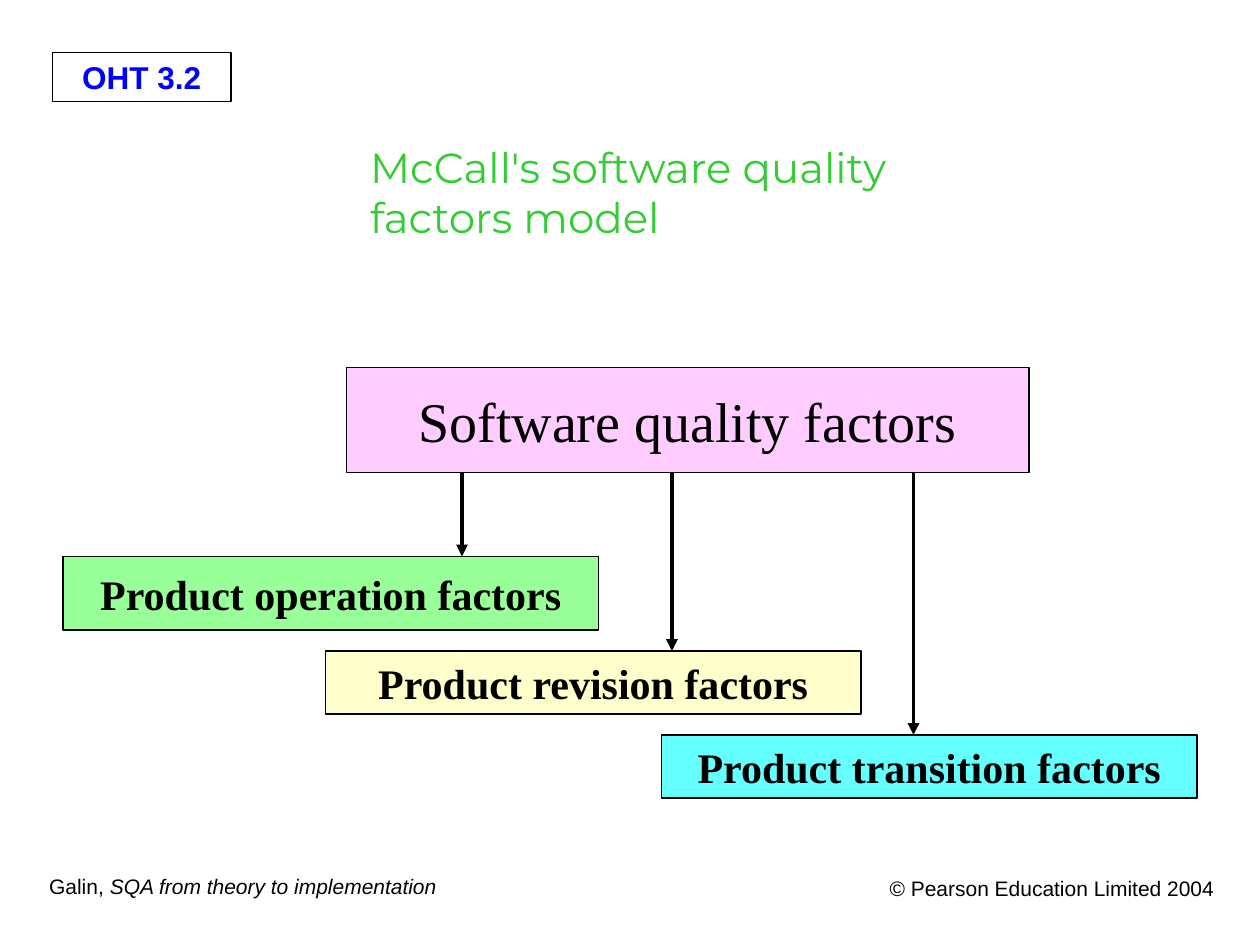
import pptx
import pptx.dml.color
import pptx.enum.shapes
import pptx.enum.text
import pptx.oxml
import pptx.util

Pt = pptx.util.Pt
RGBColor = pptx.dml.color.RGBColor
Align = pptx.enum.text.PP_ALIGN
Anchor = pptx.enum.text.MSO_ANCHOR

BLACK = RGBColor(0, 0, 0)
BLUE = RGBColor(0, 0, 255)
TITLE_GREEN = RGBColor(0x33, 0xCC, 0x33)
PINK = RGBColor(0xFF, 0xCC, 0xFF)
GREEN = RGBColor(0x99, 0xFF, 0x99)
YELLOW = RGBColor(0xFF, 0xFF, 0xCC)
CYAN = RGBColor(0x66, 0xFF, 0xFF)

SANS, SERIF, TITLE_FONT = "Arial", "Times New Roman", "Montserrat"

# Subfactors: label, fill, left, top, height, arrow position across the page
FACTORS = [
    ("Product operation factors", GREEN, 36, 318, 42, 264),
    ("Product revision factors", YELLOW, 186, 372, 36, 384),
    ("Product transition factors", CYAN, 378, 420, 36, 522),
]
FACTOR_WIDTH = 306


def add_span(para, text, font, size, color=BLACK, bold=False, italic=False):
    span = para.add_run()
    span.text = text
    span.font.name = font
    span.font.size = Pt(size)
    span.font.color.rgb = color
    span.font.bold = bold
    span.font.italic = italic


def add_panel(page, box, text, font, size, fill=None, color=BLACK, bold=False):
    """Outlined rectangle with one centred line of text."""
    panel = page.shapes.add_shape(
        pptx.enum.shapes.MSO_SHAPE.RECTANGLE, *map(Pt, box))
    panel.shadow.inherit = False
    if fill is None:
        panel.fill.background()
    else:
        panel.fill.solid()
        panel.fill.fore_color.rgb = fill
    panel.line.color.rgb = BLACK
    panel.line.width = Pt(0.75)
    frame = panel.text_frame
    frame.word_wrap = False
    frame.vertical_anchor = Anchor.MIDDLE
    para = frame.paragraphs[0]
    para.alignment = Align.CENTER
    add_span(para, text, font, size, color, bold)


def add_arrow(page, x, top, bottom):
    arrow = page.shapes.add_connector(
        pptx.enum.shapes.MSO_CONNECTOR.STRAIGHT, Pt(x), Pt(top), Pt(x), Pt(bottom))
    arrow.line.color.rgb = BLACK
    arrow.line.width = Pt(2.25)
    namespace = pptx.oxml.ns.nsdecls("a")
    arrow.line._get_or_add_ln().append(
        pptx.oxml.parse_xml(f'<a:tailEnd {namespace} type="triangle"/>'))
    arrow._element.spPr.append(
        pptx.oxml.parse_xml(f"<a:effectLst {namespace}/>"))


def place_title(page, box, lines):
    title = page.shapes.title
    title.left, title.top, title.width, title.height = map(Pt, box)
    frame = title.text_frame
    frame.word_wrap = True
    frame.auto_size = pptx.enum.text.MSO_AUTO_SIZE.NONE
    frame.vertical_anchor = Anchor.TOP
    frame.margin_left = Pt(100)
    for index, line in enumerate(lines):
        para = frame.add_paragraph() if index else frame.paragraphs[0]
        para.alignment = Align.LEFT
        add_span(para, line, TITLE_FONT, 24, TITLE_GREEN)


def add_footer(page, box, parts, alignment):
    """Footer line made of (text, italic) parts."""
    footer = page.shapes.add_textbox(*map(Pt, box))
    footer.text_frame.word_wrap = True
    para = footer.text_frame.paragraphs[0]
    para.alignment = alignment
    for text, italic in parts:
        add_span(para, text, SANS, 12, italic=italic)


def add_factor_tree(page, box):
    """Root box with an arrow down to each group of factors."""
    left, top, width, height = box
    add_panel(page, box, "Software quality factors", SERIF, 32, PINK)
    for label, fill, x, y, factor_height, arrow_x in FACTORS:
        add_panel(page, (x, y, FACTOR_WIDTH, factor_height), label, SERIF, 24,
                  fill, bold=True)
        add_arrow(page, arrow_x, top + height, y)


def main():
    deck = pptx.Presentation()
    deck.slide_width, deck.slide_height = Pt(720), Pt(540)
    page = deck.slides.add_slide(deck.slide_layouts.get_by_name("Title Only"))

    # Page number badge and footers
    add_panel(page, (30, 30, 102, 28), "OHT 3.2", SANS, 18, color=BLUE, bold=True)
    add_footer(page, (21, 495.5, 236, 21.5),
               [("Galin, ", False), ("SQA from theory to implementation", True)],
               Align.LEFT)
    add_footer(page, (478, 497, 223, 28),
               [("© Pearson Education Limited 2004", False)], Align.RIGHT)

    # Title and diagram
    place_title(page, (111.5, 77, 496, 91),
                ["McCall's software quality", "factors model"])
    add_factor_tree(page, (198, 210, 390, 60))

    deck.save("out.pptx")


if __name__ == "__main__":
    main()
